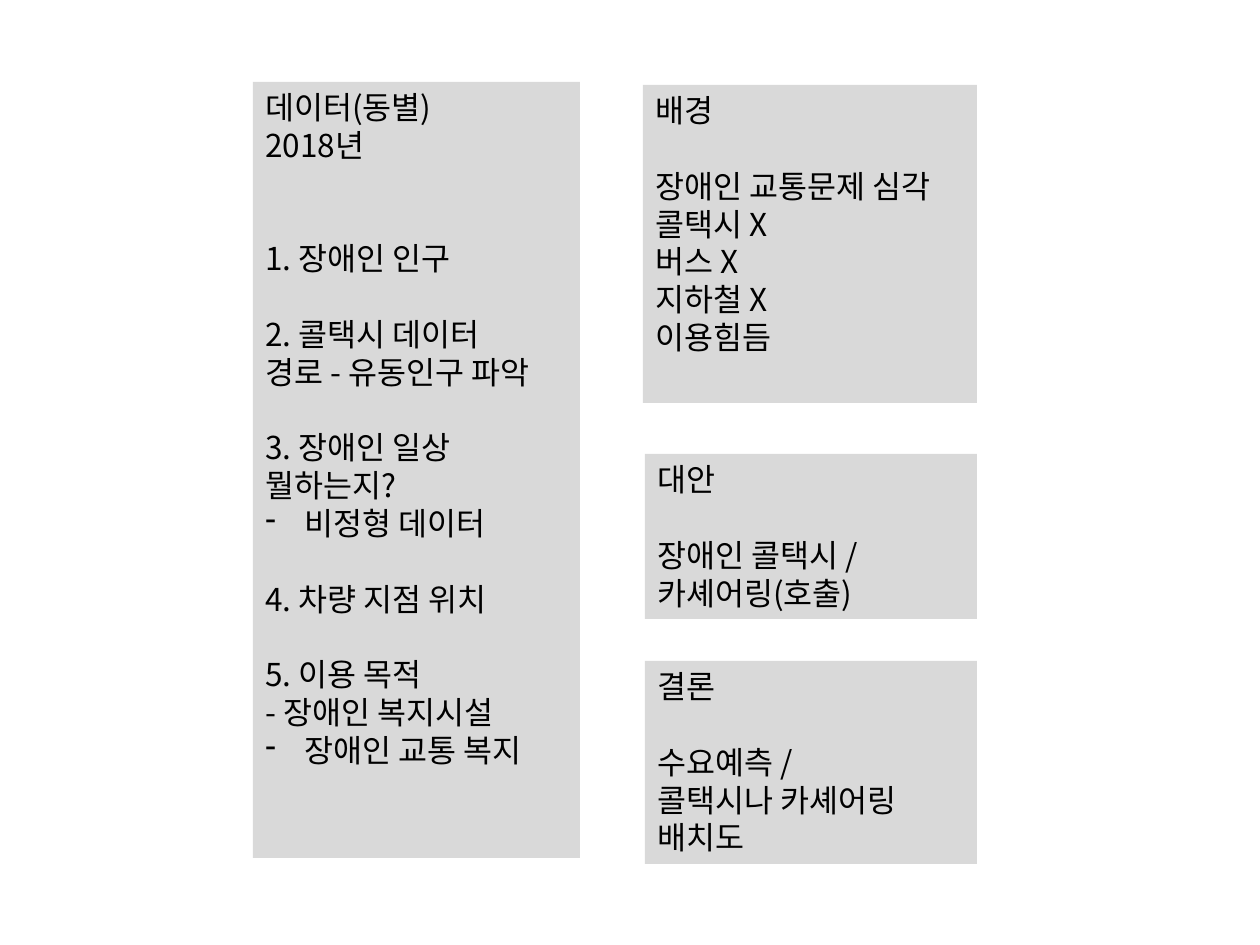
from lxml.etree import SubElement
from pptx import Presentation
from pptx.dml.color import RGBColor
from pptx.enum.shapes import MSO_SHAPE
from pptx.enum.text import MSO_ANCHOR, PP_ALIGN
from pptx.oxml.ns import qn
from pptx.util import Inches, Pt

PIXEL = Inches(1) / 126
FONT = "Noto Sans CJK KR"
TEXT_SIZE = 18
LINE_PITCH = 21.6
BULLET_INDENT = 39
PANEL_GRAY = RGBColor(0xD9, 0xD9, 0xD9)
BLACK = RGBColor(0, 0, 0)

# Each panel: left, top, width, height, then groups of lines.
# A group is (blank lines above it, lines); a line is text or (text, bullet).
PANELS = [
    (253, 82, 327, 776, [
        (0, ["데이터(동별)", "2018년"]),
        (2, ["1. 장애인 인구"]),
        (1, ["2. 콜택시 데이터", "경로 - 유동인구 파악"]),
        (1, ["3. 장애인 일상", "뭘하는지?", ("비정형 데이터", "-")]),
        (1, ["4. 차량 지점 위치"]),
        (1, ["5. 이용 목적", "- 장애인 복지시설", ("장애인 교통 복지", "-")]),
    ]),
    (643, 85, 334, 318, [
        (0, ["배경"]),
        (1, ["장애인 교통문제 심각", "콜택시 X", "버스 X", "지하철 X", "이용힘듬"]),
    ]),
    (645, 454, 332, 165, [
        (0, ["대안"]),
        (1, ["장애인 콜택시 /", "카셰어링(호출)"]),
    ]),
    (645, 661, 332, 203, [
        (0, ["결론"]),
        (1, ["수요예측 /", "콜택시나 카셰어링", "배치도"]),
    ]),
]


def px(pixels):
    """Turn pixels into EMU."""
    return round(pixels * PIXEL)


def add_bullet(paragraph, character):
    """Give a paragraph a hanging bullet."""
    properties = paragraph._p.get_or_add_pPr()
    properties.set("marL", str(px(BULLET_INDENT)))
    properties.set("indent", str(-px(BULLET_INDENT)))
    SubElement(properties, qn("a:buFontTx"))
    SubElement(properties, qn("a:buChar")).set("char", character)


def write_text(paragraph, text, size=TEXT_SIZE, color=BLACK, font=FONT,
               blank_lines=0, bullet=None):
    """Write one formatted line into a paragraph."""
    paragraph.alignment = PP_ALIGN.LEFT
    paragraph.line_spacing = Pt(LINE_PITCH)
    paragraph.space_before = Pt(blank_lines * LINE_PITCH)
    if bullet:
        add_bullet(paragraph, bullet)
    run = paragraph.add_run()
    run.text = text
    run.font.size = Pt(size)
    run.font.name = font
    run.font.color.rgb = color
    SubElement(run._r.get_or_add_rPr(), qn("a:ea")).set("typeface", font)


def add_panel(slide, left, top, width, height, groups):
    """Add a gray panel holding groups of lines."""
    shape = slide.shapes.add_shape(
        MSO_SHAPE.RECTANGLE, px(left), px(top), px(width), px(height))
    shape.shadow.inherit = False
    shape.fill.solid()
    shape.fill.fore_color.rgb = PANEL_GRAY
    shape.line.fill.background()
    frame = shape.text_frame
    frame.word_wrap = True
    frame.vertical_anchor = MSO_ANCHOR.TOP
    paragraph = frame.paragraphs[0]
    for blank_lines, lines in groups:
        for index, line in enumerate(lines):
            text, bullet = line if isinstance(line, tuple) else (line, None)
            if paragraph.runs:
                paragraph = frame.add_paragraph()
            write_text(paragraph, text, bullet=bullet,
                       blank_lines=0 if index else blank_lines)


def main():
    """Build the slide and save it."""
    presentation = Presentation()
    presentation.slide_width = Inches(10)
    presentation.slide_height = Inches(7.5)
    slide = presentation.slides.add_slide(presentation.slide_layouts[6])
    for panel in PANELS:
        add_panel(slide, *panel)
    presentation.save("out.pptx")


main()
